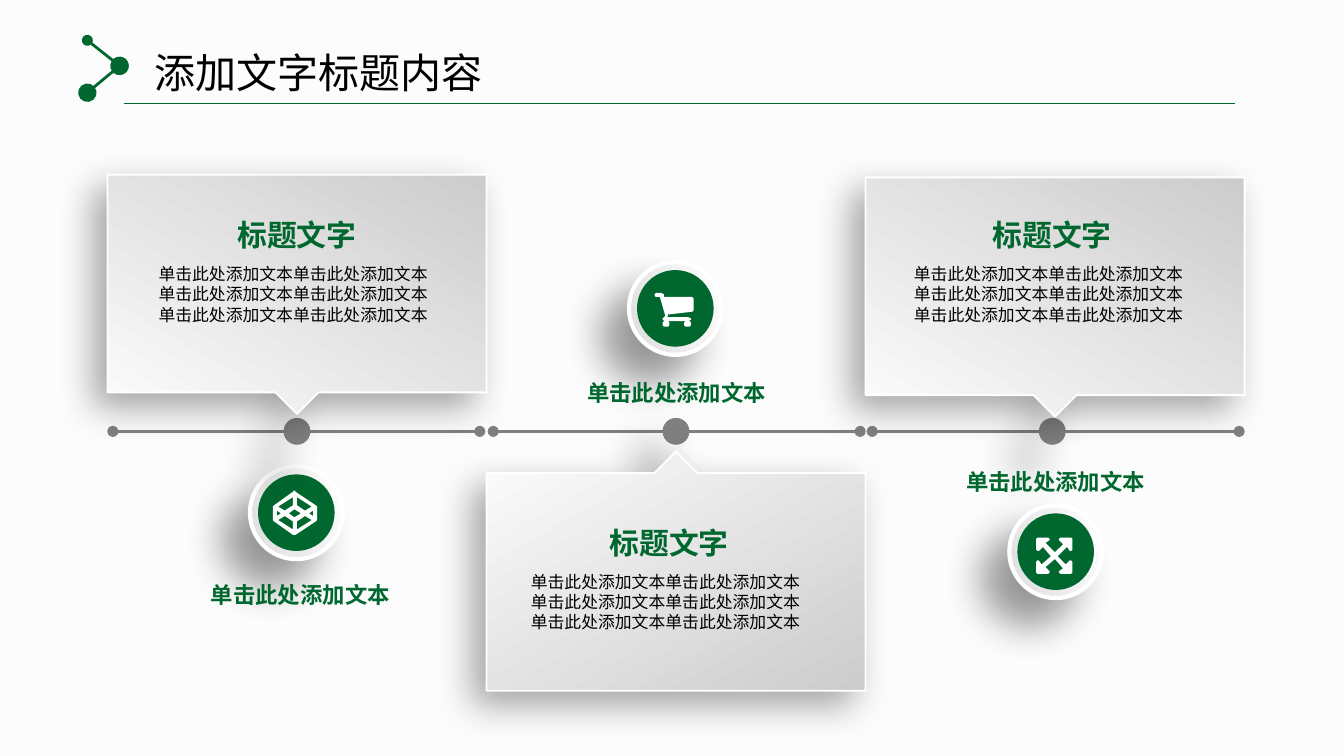
import math

import pptx
import pptx.dml.color
import pptx.enum.shapes
import pptx.enum.text
import pptx.oxml
import pptx.oxml.ns
import pptx.util
from lxml import etree

Inches, Pt = pptx.util.Inches, pptx.util.Pt
RGBColor = pptx.dml.color.RGBColor
MSO_SHAPE = pptx.enum.shapes.MSO_SHAPE
qn = pptx.oxml.ns.qn

GREEN = RGBColor(0x00, 0x68, 0x2F)
GRAY = RGBColor(0x7F, 0x7F, 0x7F)
SILVER = RGBColor(0xCC, 0xCC, 0xCC)
PALE = RGBColor(0xDD, 0xDE, 0xDD)
PAPER = RGBColor(0xFC, 0xFC, 0xFC)
WHITE = RGBColor(0xFF, 0xFF, 0xFF)
BLACK = RGBColor(0x00, 0x00, 0x00)

FONT = "Noto Sans CJK SC"
PROMPT = "单击此处添加文本"

# Shadows: opacity %, blur pt, distance pt, direction degrees
CARD_SHADOW = (34, 20, 10, 136)
DOT_SHADOW = (40, 22, 20, 135)


class SlideBuilder:
    def __init__(self, slide):
        self.s = slide
        slide.background.fill.solid()
        slide.background.fill.fore_color.rgb = PAPER

    def shape(self, kind, x, y, w, h, fill, angle=0, line=None, shadow=None):
        """Preset shape; a pair of colours as fill makes a gradient."""
        sp = self.s.shapes.add_shape(kind, Inches(x), Inches(y), Inches(w), Inches(h))
        if isinstance(fill, list):
            sp.fill.gradient()
            sp.fill.gradient_angle = 360 - angle
            for stop, color, position in zip(sp.fill.gradient_stops, fill, (0, 1)):
                stop.color.rgb = color
                stop.position = position
        else:
            sp.fill.solid()
            sp.fill.fore_color.rgb = fill
        if line:
            sp.line.color.rgb, sp.line.width = WHITE, Pt(line)
        else:
            sp.line.fill.background()
        sp.shadow.inherit = False
        if shadow:
            self.add_shadow(sp, *shadow)
        return sp

    def add_shadow(self, sp, opacity, blur, distance, direction):
        effects = sp._element.spPr.find(qn("a:effectLst"))
        outer = etree.SubElement(effects, qn("a:outerShdw"), blurRad=str(Pt(blur)),
                                 dist=str(Pt(distance)), dir=str(direction * 60000),
                                 algn="ctr", rotWithShape="0")
        color = etree.SubElement(outer, qn("a:srgbClr"), val=str(BLACK))
        etree.SubElement(color, qn("a:alpha"), val=str(opacity * 1000))

    def line(self, x1, y1, x2, y2, color, width, ends=None):
        """Straight line; ends gives the sizes of the oval heads."""
        c = self.s.shapes.add_connector(pptx.enum.shapes.MSO_CONNECTOR.STRAIGHT,
                                        Inches(x1), Inches(y1), Inches(x2), Inches(y2))
        c.line.color.rgb, c.line.width = color, Pt(width)
        if ends:
            ln = c.line._get_or_add_ln()
            for tag, size in zip(("a:headEnd", "a:tailEnd"), ends):
                etree.SubElement(ln, qn(tag), type="oval", w=size, len=size)
        etree.SubElement(c._element.spPr, qn("a:effectLst"))

    def text(self, x, y, w, h, lines, size, color, bold=False, center=True,
             wrap=False, inset=(0, 0)):
        tf = self.s.shapes.add_textbox(Inches(x), Inches(y), Inches(w), Inches(h)).text_frame
        tf.word_wrap = wrap
        tf.auto_size = pptx.enum.text.MSO_AUTO_SIZE.SHAPE_TO_FIT_TEXT
        tf.margin_left = tf.margin_right = Inches(inset[0])
        tf.margin_top = tf.margin_bottom = Inches(inset[1])
        tf.text = "\n".join(lines)
        for p in tf.paragraphs:
            if center:
                p.alignment = pptx.enum.text.PP_ALIGN.CENTER
            p.line_spacing = Pt(round(size * 1.21, 1))
            p.font.size, p.font.bold, p.font.name = Pt(size), bold, FONT
            p.font.color.rgb = color
            etree.SubElement(p._p.pPr.find(qn("a:defRPr")), qn("a:ea"), typeface=FONT)

    def icon(self, x, y, contours):
        """White outline; points are hundredths of an inch from x, y."""
        first, *rest = contours
        fb = self.s.shapes.build_freeform(*first[0], scale=Inches(0.01))
        fb.add_line_segments(first[1:], close=True)
        for contour in rest:
            fb.move_to(*contour[0])
            fb.add_line_segments(contour[1:], close=True)
        sp = fb.convert_to_shape(Inches(x), Inches(y))
        sp.fill.solid()
        sp.fill.fore_color.rgb = WHITE
        sp.line.fill.background()
        sp.shadow.inherit = False

    def badge(self, x, y, icon_x, icon_y, contours):
        self.shape(MSO_SHAPE.OVAL, x, y, 0.69, 0.69, [WHITE, PALE], 160, 2.25, DOT_SHADOW)
        self.shape(MSO_SHAPE.OVAL, x + 0.06, y + 0.06, 0.57, 0.57, GREEN)
        self.icon(icon_x, icon_y, contours)

    def label(self, x, y):
        self.text(x, y, 1.35, 0.2, [PROMPT], 12, GREEN, bold=True)

    def segment(self, x, dot_x):
        self.line(x + 2.73, 3.21, x, 3.21, GRAY, 1.5, ("med", "med"))
        self.shape(MSO_SHAPE.OVAL, dot_x, 3.11, 0.2, 0.2, GRAY, shadow=DOT_SHADOW)

    def card(self, x, y, text_x, text_y, flip=False):
        sp = self.shape(MSO_SHAPE.DOWN_ARROW_CALLOUT, x, y, 2.82, 1.78,
                        [SILVER, PAPER], 120, 1, CARD_SHADOW)
        for i, value in enumerate((0.26, 0.09, 0.09, 0.91)):
            sp.adjustments[i] = value
        if flip:
            sp._element.spPr.find(qn("a:xfrm")).set("flipV", "1")
        self.text(text_x, text_y, 2.1, 0.5, [PROMPT * 2] * 3, 9, BLACK,
                  center=False, wrap=True)
        self.text(text_x + 0.58, text_y - 0.35, 0.9, 0.27, ["标题文字"], 16, GREEN, bold=True)


def circle(cx, cy, radius, n=16):
    angles = [2 * math.pi * i / n for i in range(n)]
    return [(cx + radius * math.cos(a), cy + radius * math.sin(a)) for a in angles]


def cart():
    body = [(29, 13), (28, 14), (10, 16), (10, 17), (9, 18), (25, 18), (27, 19),
            (27, 20), (25, 21), (8, 21), (6, 20), (6, 19), (8, 17), (4, 3), (1, 3),
            (0, 2), (0, 1), (1, 0), (5, 0), (7, 1), (7, 3), (28, 3), (29, 4)]
    return [body, circle(8.5, 23, 2.2), circle(24.5, 23, 2.2)]


def arrows():
    arm = [(13.5, 11), (20, 5), (17, 2), (17, 1), (18, 0), (26, 0), (27, 1),
           (27, 9), (26, 10), (25, 10), (23, 7)]
    outline = []
    for _ in range(4):
        outline += arm
        arm = [(27 - y, x) for x, y in arm]
    return [outline]


def cube():
    outline = [(33, 22), (32, 23), (17, 33), (16, 33), (15, 33), (1, 23), (0, 22),
               (0, 12), (1, 11), (15, 1), (16, 0), (17, 1), (32, 11), (33, 12)]
    pane = [(15, 11), (15, 5), (4, 12), (9, 15)]
    side = [(6, 17), (3, 15), (3, 19)]
    middle = [(21, 17), (16.5, 14), (12, 17), (16.5, 20)]
    left = [pane, [(x, 34 - y) for x, y in pane], side]
    right = [[(33 - x, y) for x, y in hole] for hole in left]
    return [outline, middle] + left + right


def main():
    prs = pptx.Presentation()
    prs.slide_width = Inches(10)
    prs.slide_height = prs.slide_width * 9 // 16
    b = SlideBuilder(prs.slides.add_slide(prs.slide_layouts[6]))

    # Header ornament and rule
    b.line(0.65, 0.3, 0.89, 0.49, GREEN, 1.5, ("med", "lg"))
    b.line(0.89, 0.49, 0.65, 0.69, GREEN, 1.5, ("lg", "lg"))
    b.line(0.92, 0.77, 9.19, 0.77, GREEN, 1)

    # Round badges
    b.badge(4.68, 1.95, 4.87, 2.18, cart())
    b.badge(7.51, 3.76, 7.71, 4, arrows())
    b.badge(1.86, 3.47, 2.03, 3.65, cube())

    # Timeline
    for x, dot_x in ((0.84, 2.11), (3.67, 4.93), (6.49, 7.73)):
        b.segment(x, dot_x)

    # Callout cards
    b.card(0.8, 1.3, 1.18, 1.96)
    b.card(6.44, 1.32, 6.8, 1.96)
    b.card(3.62, 3.36, 3.95, 4.25, flip=True)

    # Badge labels
    for x, y in ((4.36, 2.82), (1.56, 4.32), (7.18, 3.48)):
        b.label(x, y)

    # Title
    b.text(0.86, 0.31, 3.02, 0.45, ["添加文字标题内容"], 22, BLACK, wrap=True,
           inset=(0.08, 0.04))

    prs.save("out.pptx")


if __name__ == "__main__":
    main()
